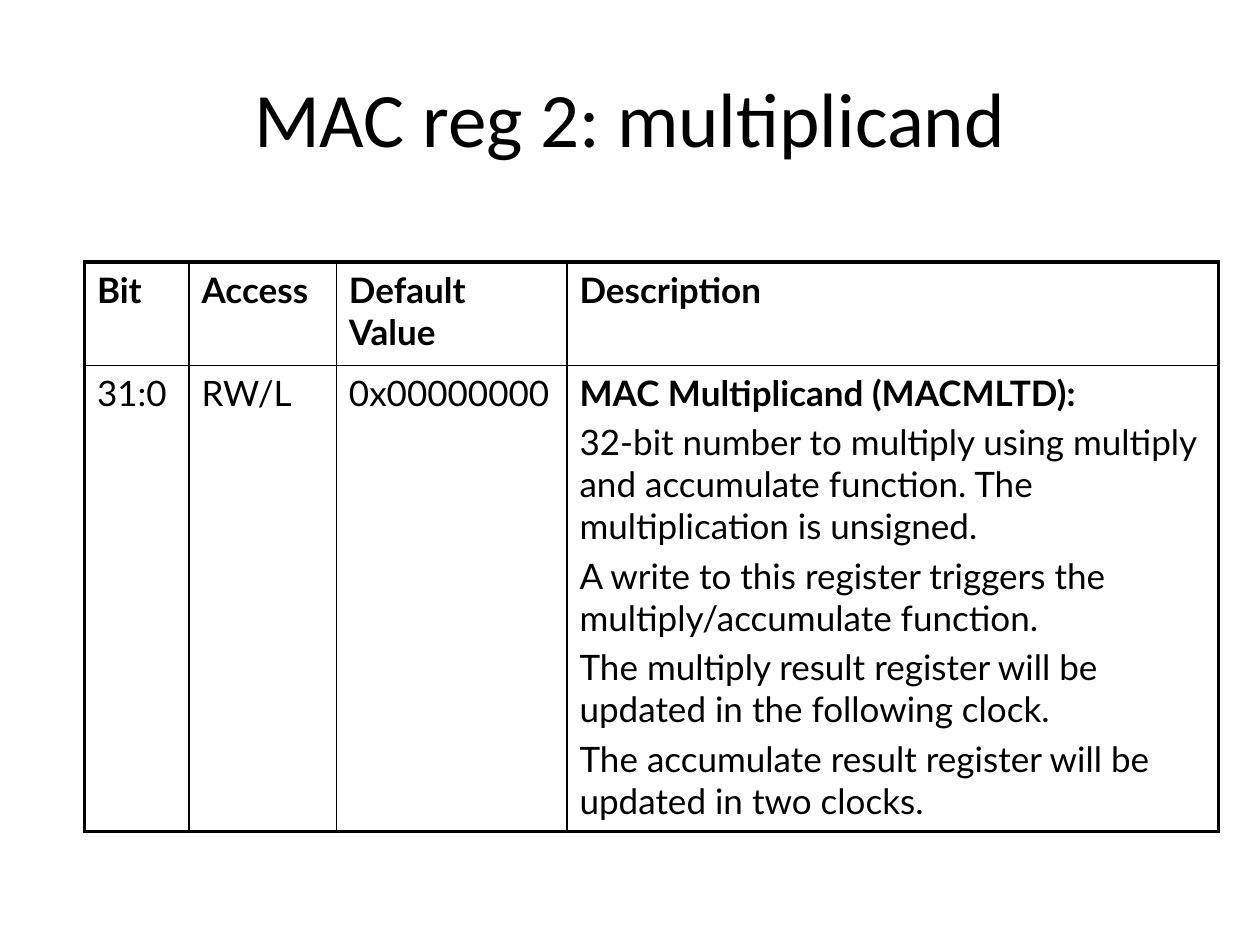
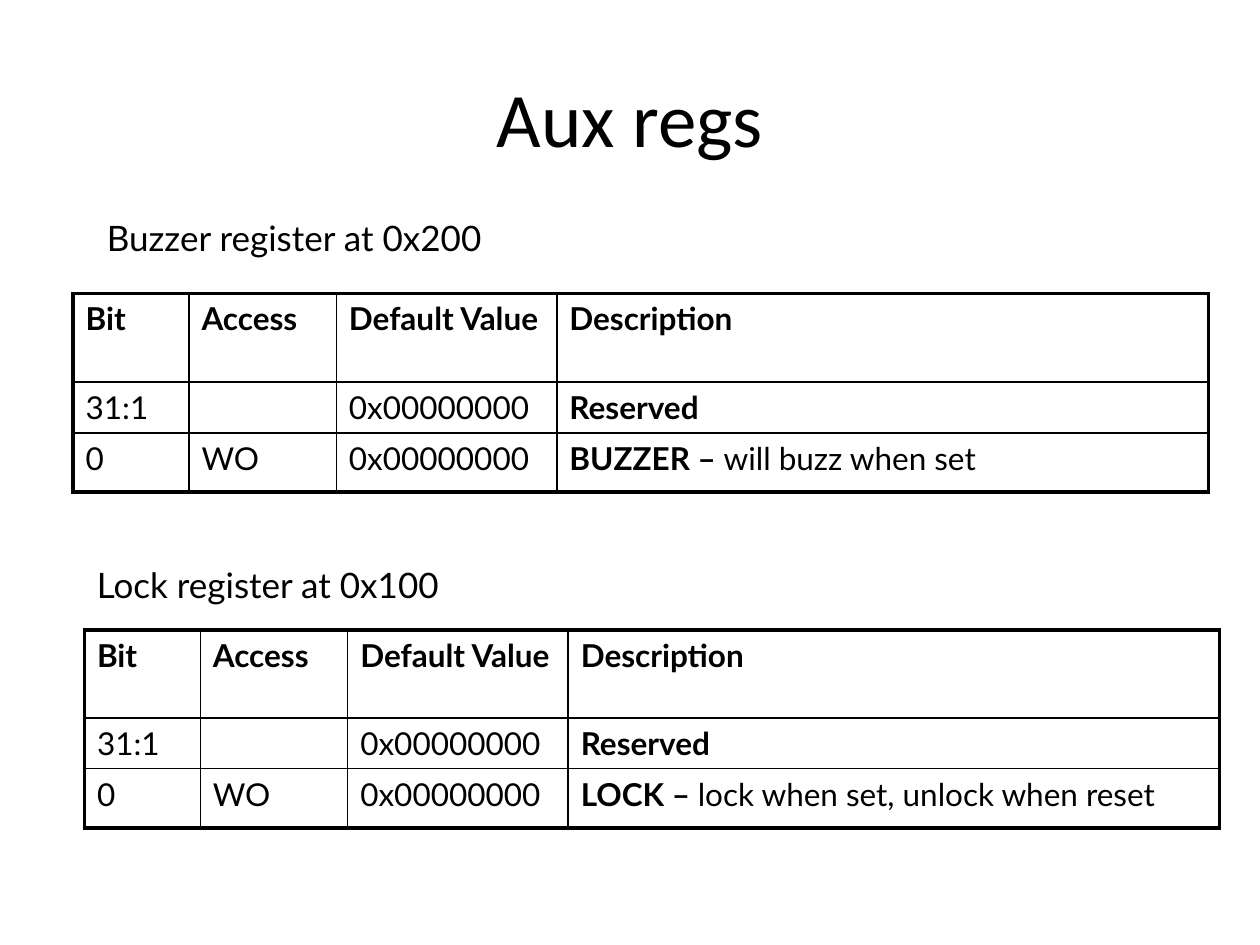
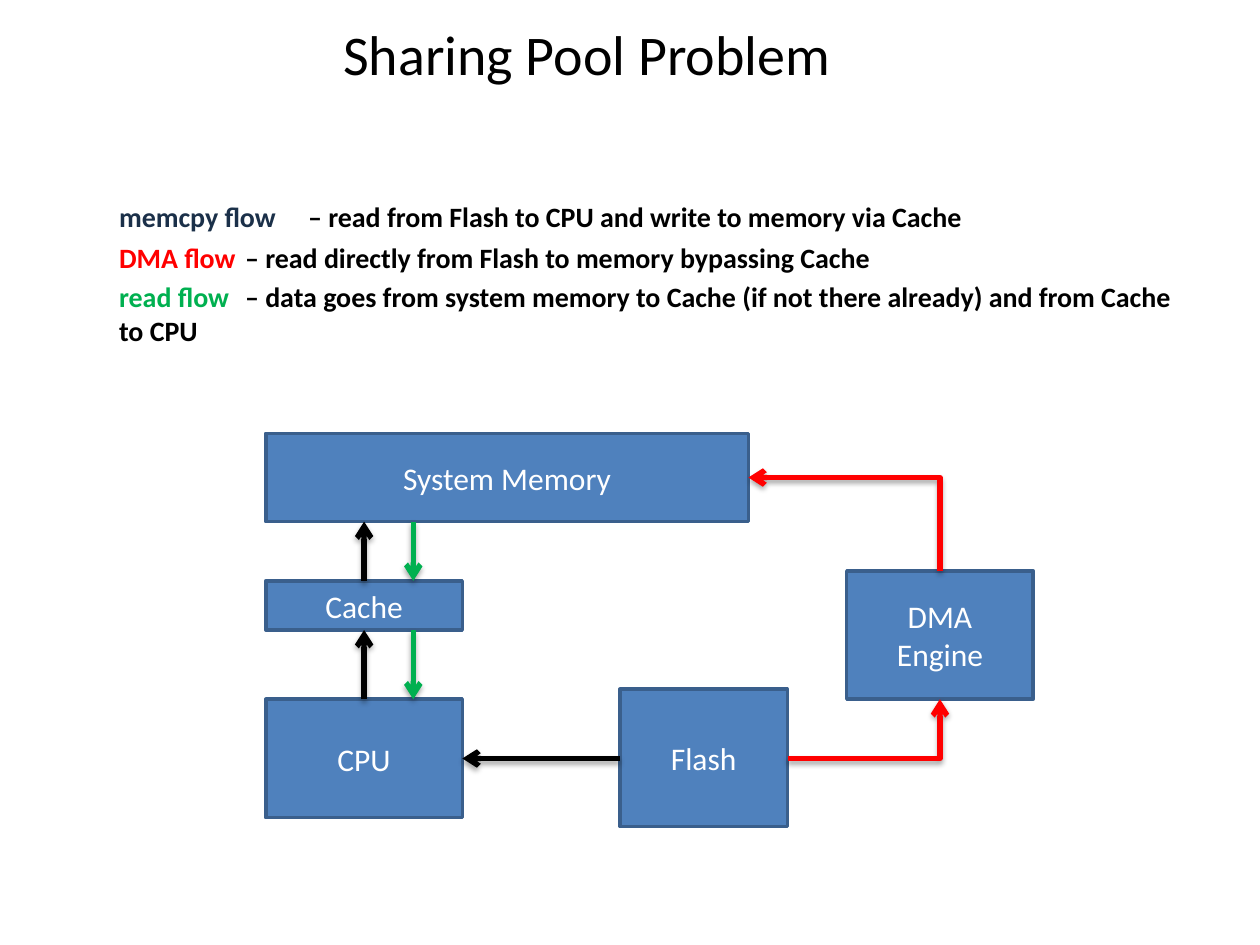
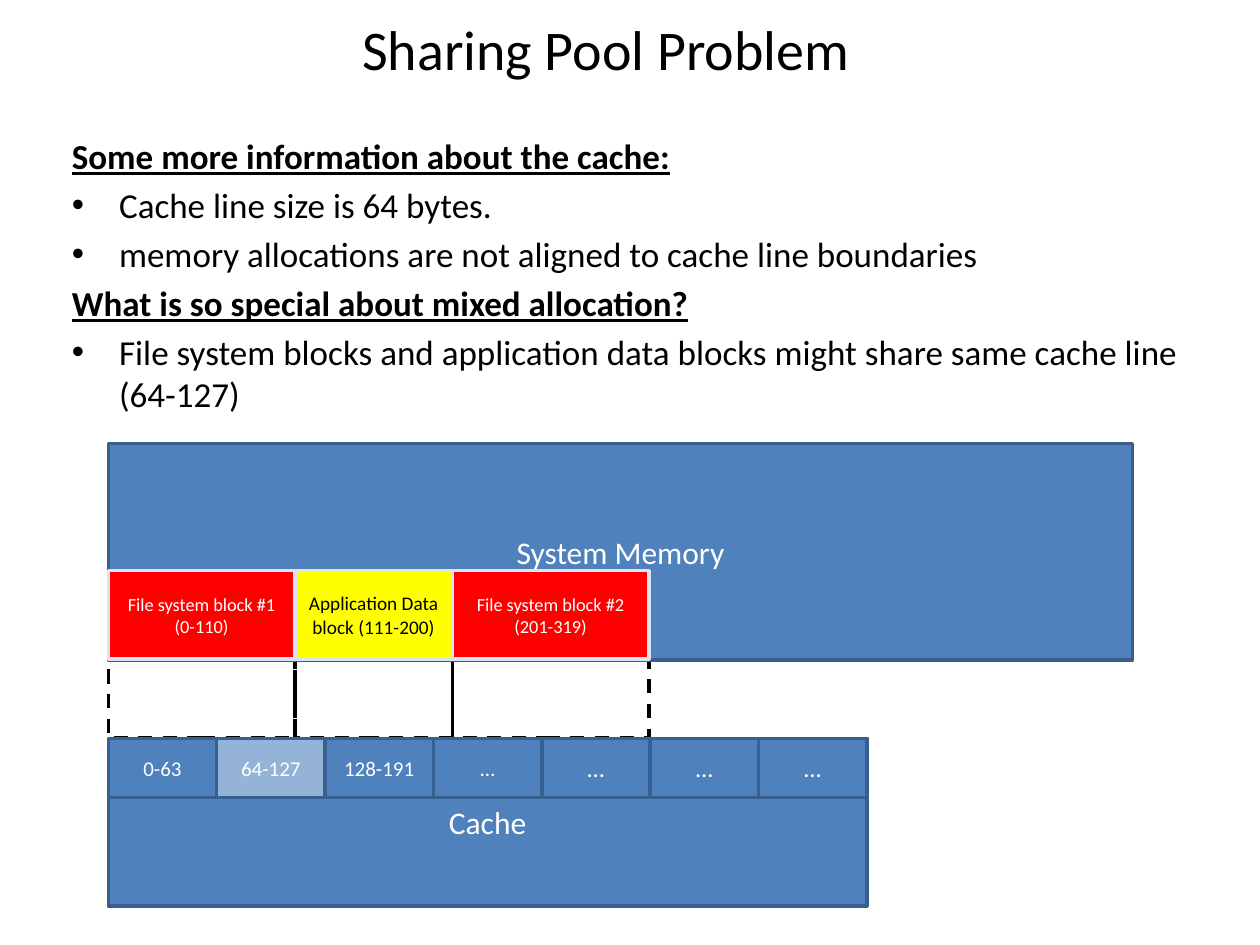
from pptx import Presentation
from pptx.dml.color import RGBColor
from pptx.enum.dml import MSO_LINE
from pptx.enum.shapes import MSO_CONNECTOR as Wire, MSO_SHAPE as Form
from pptx.enum.text import MSO_ANCHOR as Anchor, MSO_AUTO_SIZE as Fit, PP_ALIGN as Align
from pptx.oxml import parse_xml
from pptx.oxml.ns import nsdecls, qn
from pptx.util import Pt

PX = 9144
BLACK = RGBColor(0x00, 0x00, 0x00)
WHITE = RGBColor(0xFF, 0xFF, 0xFF)
BLUE = RGBColor(0x4F, 0x81, 0xBD)
EDGE = RGBColor(0x3A, 0x5F, 0x8C)
RIM = RGBColor(0x37, 0x60, 0x92)
PALE = RGBColor(0x95, 0xB3, 0xD7)
MIST = RGBColor(0xDB, 0xE5, 0xF1)
NAVY = RGBColor(0x1B, 0x30, 0x49)
RED = RGBColor(0xFF, 0x00, 0x00)
GREEN = RGBColor(0x00, 0xB0, 0x50)
YELLOW = RGBColor(0xFF, 0xFF, 0x00)
HEAD = ["Bit", "Access", "Default Value", "Description"]
STRONG = {"bold": True}
PLAIN = {"bold": False}


def write(frame, paras, font="Calibri", size=18, color=BLACK, bold=False,
          line=False, align=None, gap=None):
    frame.word_wrap = True
    for i, runs in enumerate(paras):
        para = frame.paragraphs[0] if i == 0 else frame.add_paragraph()
        if align is not None:
            para.alignment = align
        if i == 0:
            para.space_before = Pt(0)
        elif gap is not None:
            para.space_before = Pt(gap)
        for words, look in [(runs, {})] if isinstance(runs, str) else runs:
            if not words:
                continue
            run = para.add_run()
            run.text = words
            face = run.font
            face.name = font
            face.size = Pt(look.get("size", size))
            face.bold = look.get("bold", bold)
            face.underline = look.get("line", line)
            face.color.rgb = look.get("color", color)


def place(shape, box):
    shape.left, shape.top, shape.width, shape.height = (n * PX for n in box)


class Deck:
    def __init__(self):
        self.prs = Presentation()
        self.prs.slide_width = 1000 * PX
        self.prs.slide_height = 750 * PX
        self.slide = None

    def page(self, title, box=(50, 30, 900, 125), size=44, body=False):
        layout = self.prs.slide_layouts[1 if body else 5]
        self.slide = self.prs.slides.add_slide(layout)
        head = self.slide.shapes.title
        place(head, box)
        head.text_frame.auto_size = Fit.NONE
        head.text_frame.vertical_anchor = Anchor.MIDDLE
        write(head.text_frame, [title], size=size, align=Align.CENTER)

    def body(self, box, paras, bare, **look):
        shape = self.slide.placeholders[1]
        place(shape, box)
        frame = shape.text_frame
        frame.auto_size = Fit.NONE
        write(frame, paras, **look)
        for i in bare:
            props = frame.paragraphs[i]._p.get_or_add_pPr()
            props.append(parse_xml(f'<a:buNone {nsdecls("a")}/>'))

    def note(self, box, words):
        label = self.slide.shapes.add_textbox(*(n * PX for n in box))
        write(label.text_frame, [words], font="Lato", size=20)

    def rect(self, box, *paras, fill=BLUE, edge=EDGE, dash=False, size=18, color=WHITE):
        shape = self.slide.shapes.add_shape(Form.RECTANGLE, *(n * PX for n in box))
        shape.shadow.inherit = False
        if fill is None:
            shape.fill.background()
        else:
            shape.fill.solid()
            shape.fill.fore_color.rgb = fill
        shape.line.color.rgb = edge
        shape.line.width = Pt(2)
        if dash:
            shape.line.dash_style = MSO_LINE.DASH
        shape.text_frame.vertical_anchor = Anchor.MIDDLE
        write(shape.text_frame, paras, size=size, color=color, align=Align.CENTER)

    def arrow(self, start, end, color, turn=False):
        (x1, y1), (x2, y2) = start, end
        bent = x1 != x2 and y1 != y2
        if turn:
            mx, my = (x1 + x2) / 2, (y1 + y2) / 2
            dx, dy = abs(y2 - y1) / 2, abs(x2 - x1) / 2
            x1, y1, x2, y2 = mx - dx, my + dy, mx + dx, my - dy
        kind = Wire.ELBOW if bent else Wire.STRAIGHT
        link = self.slide.shapes.add_connector(kind, *(int(n * PX) for n in (x1, y1, x2, y2)))
        link.line.color.rgb = color
        link.line.width = Pt(3)
        props = link.element.spPr
        if bent:
            props.find(qn("a:prstGeom")).set("prst", "bentConnector2")
        if turn:
            props.find(qn("a:xfrm")).set("rot", "16200000")
        props.find(qn("a:ln")).append(parse_xml(f'<a:tailEnd {nsdecls("a")} type="arrow"/>'))
        props.append(parse_xml(
            f'<a:effectLst {nsdecls("a")}>'
            '<a:outerShdw blurRad="39370" dist="22860" dir="5400000" rotWithShape="0">'
            '<a:srgbClr val="000000"><a:alpha val="35000"/></a:srgbClr>'
            '</a:outerShdw></a:effectLst>'))

    def table(self, spot, cols, rows, data, size):
        box = (*spot, sum(cols), sum(rows))
        grid = self.slide.shapes.add_table(
            len(rows), len(cols), *(n * PX for n in box)).table
        grid.first_row = grid.horz_banding = False
        for col, wide in zip(grid.columns, cols):
            col.width = wide * PX
        for r, (row, high) in enumerate(zip(grid.rows, rows)):
            row.height = high * PX
            for c, cell in enumerate(row.cells):
                outer = {"L": c == 0, "R": c == len(cols) - 1,
                         "T": r == 0, "B": r == len(rows) - 1}
                self.frame(cell, outer)
                item = data[r][c]
                write(cell.text_frame, [item] if isinstance(item, str) else item,
                      font="Lato", size=size, bold=r == 0, gap=size / 5)

    def frame(self, cell, outer):
        props = cell._tc.get_or_add_tcPr()
        for side, thick in outer.items():
            width = Pt(2.25 if thick else 1)
            props.append(parse_xml(
                f'<a:ln{side} {nsdecls("a")} w="{width}"><a:solidFill>'
                f'<a:srgbClr val="{BLACK}"/></a:solidFill></a:ln{side}>'))
        cell.fill.background()


def mac(deck):
    deck.page("MAC reg 2: multiplicand")
    about = [
        [("MAC Multiplicand (MACMLTD):", STRONG)],
        "32-bit number to multiply using multiply and accumulate function. "
        "The multiplication is unsigned.",
        "A write to this register triggers the multiply/accumulate function.",
        "The multiply result register will be updated in the following clock.",
        "The accumulate result register will be updated in two clocks.",
    ]
    deck.table((67, 208), (83, 117, 183, 517), (82, 370),
               [HEAD, ["31:0", "RW/L", "0x00000000", about]], 20)


def aux(deck):
    deck.page("Aux regs")
    regs = [
        ((58, 233), (75, 167), "Buzzer register at 0x200", "BUZZER – ", "will buzz when set"),
        ((67, 500), (67, 442), "Lock register at 0x100", "LOCK – ",
         "lock when set, unlock when reset"),
    ]
    for spot, label, title, name, use in regs:
        data = [
            HEAD,
            ["31:1", "", "0x00000000", [[("Reserved", STRONG)]]],
            ["0", "WO", "0x00000000", [[(name, STRONG), (use, PLAIN)]]],
        ]
        deck.table(spot, (92, 117, 175, 517), (70, 40, 47), data, 18)
        deck.note((*label, 833, 44), title)


def flows(deck):
    deck.page("Sharing Pool Problem", (16, 16, 900, 52), 32, body=True)
    kinds = [
        (20, "memcpy flow \t", NAVY, "– read from Flash to CPU and write to memory via Cache"),
        (16, "DMA flow \t", RED, "– read directly from Flash to memory bypassing Cache"),
        (16, "read flow\t", GREEN, "– data goes from system memory to Cache "
         "(if not there already) and from Cache to CPU"),
    ]
    paras = [[("\t", {"size": size}), (name, {"color": color}), (words, {})]
             for size, name, color, words in kinds]
    deck.body((47, 148, 900, 195), paras, range(3), size=16, bold=True)

    deck.rect((211, 555, 156, 94), "CPU")
    deck.rect((211, 461, 156, 39), "Cache")
    deck.rect((211, 344, 383, 70), "System Memory")
    deck.rect((492, 547, 133, 109), "Flash")
    deck.rect((672, 453, 148, 102), "DMA", "Engine")

    deck.arrow((492, 602), (367, 602), BLACK)
    for low, high in ((555, 500), (461, 414)):
        deck.arrow((289, low), (289, high), BLACK)
        deck.arrow((328, high), (328, low), GREEN)
    deck.arrow((625, 602), (746, 555), RED)
    deck.arrow((746, 453), (594, 379), RED, turn=True)


def lines(deck):
    deck.page("Sharing Pool Problem", (31, 16, 900, 44), 32, body=True)
    title = {"bold": True, "line": True}
    deck.body((47, 102, 900, 258), [
        [("Some more information about the cache:", title)],
        "Cache line size is 64 bytes.",
        "memory allocations are not aligned to cache line boundaries",
        [("What is so special about mixed allocation?", title)],
        "File system blocks and application data blocks might share same cache line (64-127)",
    ], (0, 3), size=20)

    blocks = [
        (86, 148, "File system block #1 (0-110)", RED, WHITE, 10.5),
        (234, 125, "Application Data block (111-200)", YELLOW, BLACK, 11),
        (359, 156, "File system block #2 (201-319)", RED, WHITE, 10.5),
    ]
    for left, wide, *_ in blocks:
        deck.rect((left, 523, wide, 63), fill=None, edge=BLACK, dash=True)
    deck.rect((86, 586, 602, 133), "Cache")
    deck.rect((86, 352, 813, 172), "System Memory")
    for left, wide, name, fill, color, size in blocks:
        deck.rect((left, 453, wide, 70), name, fill=fill, edge=MIST, size=size, color=color)
    for i, name in enumerate(["0-63", "64-127", "128-191"] + ["…"] * 4):
        deck.rect((86 + 86 * i, 586, 86, 47), name, fill=PALE if i == 1 else None,
                  edge=RIM, size=12 if i < 4 else 14)


def main():
    deck = Deck()
    for draw in (mac, aux, flows, lines):
        draw(deck)
    deck.prs.save("out.pptx")


if __name__ == "__main__":
    main()
